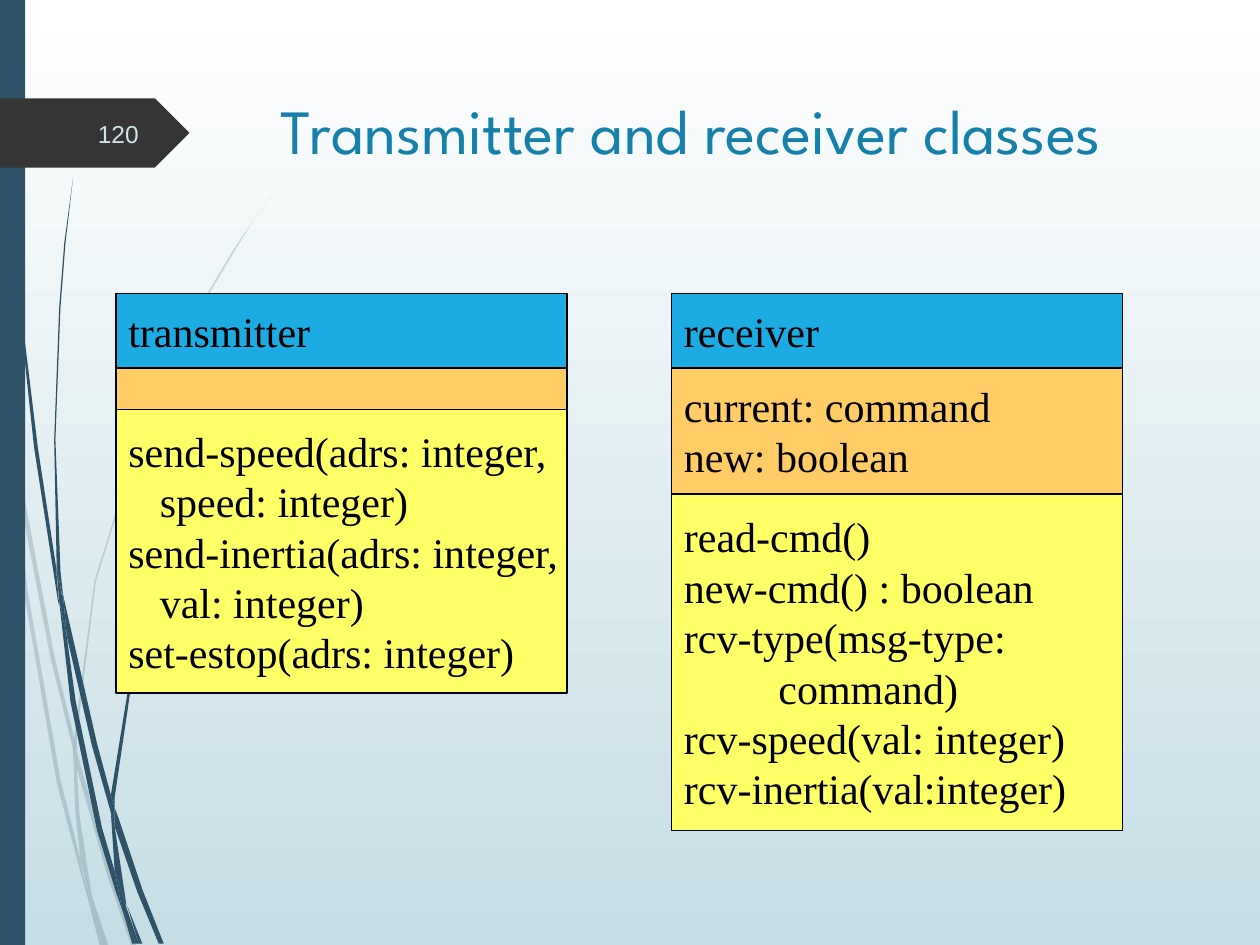
from typing import NamedTuple

from lxml.etree import SubElement
from pptx import Presentation
from pptx.dml.color import RGBColor
from pptx.enum.shapes import MSO_SHAPE
from pptx.enum.text import MSO_ANCHOR, MSO_AUTO_SIZE, PP_ALIGN
from pptx.oxml.ns import qn
from pptx.util import Pt

PX = 9144  # EMU in one px, 100 px to the inch
WIDE, HIGH = 1000, 750
INK = {
    "top": "FFFFFF", "base": "C5DEE5", "wisp": "2E5369", "tag": "353535",
    "title": "1581AA", "page": "CFE2E7", "line": "000000", "text": "000000",
    "name": "1CACE3", "attr": "FFCC66", "ops": "FFFF66",
}


class Line(NamedTuple):
    text: str
    indent: int = 0


class Row(NamedTuple):
    ink: str
    high: int
    lines: tuple = ()


class Card(NamedTuple):
    left: int
    rows: tuple


# Wisps: outline points of each piece
PALE = (
    ((8, 350), (6, 322), (0, 282), (0, 299), (7, 344)),
    ((40, 522), (59, 599), (59, 586), (43, 520), (10, 345), (12, 376)),
    ((64, 607), (61, 596), (61, 610), (85, 694), (104, 750), (108, 750), (88, 692)),
    ((83, 750), (86, 750), (73, 711)),
    ((64, 683), (48, 619), (22, 469), (12, 376), (8, 350), (19, 470), (45, 621),
     (64, 693), (70, 714), (69, 707)),
    ((58, 599), (60, 646), (64, 683), (67, 692), (73, 711), (72, 706), (63, 646),
     (61, 610), (61, 608)),
    ((61, 584), (76, 462), (111, 349), (159, 245), (187, 198), (201, 175), (217, 153),
     (201, 175), (186, 197), (158, 244), (110, 348), (75, 461), (59, 584), (59, 586),
     (61, 596)),
    ((70, 714), (79, 750), (82, 750)),
    ((61, 608), (61, 610), (61, 596), (59, 586), (58, 599)),
    ((67, 692), (65, 683), (69, 707), (70, 714), (82, 750), (83, 750), (73, 711)),
)
DARK = (
    ((5, 110), (14, 233), (27, 355), (46, 477), (47, 481), (45, 457), (45, 453),
     (30, 355), (15, 232), (6, 109), (4, 48), (3, 0), (2, 0), (3, 48)),
    ((73, 592), (88, 645), (88, 633), (88, 631), (77, 590), (50, 472), (53, 505)),
    ((94, 649), (91, 641), (91, 656), (109, 708), (126, 749), (130, 749), (113, 706)),
    ((91, 691), (81, 657), (60, 556), (53, 505), (47, 477), (56, 557), (77, 659),
     (92, 708), (97, 722), (96, 717)),
    ((50, 472), (48, 453), (44, 349), (48, 244), (52, 193), (58, 141), (51, 193),
     (47, 244), (43, 349), (45, 449), (49, 471)),
    ((110, 749), (113, 749), (101, 719)),
    ((47, 477), (53, 505), (50, 472), (49, 472), (45, 449), (45, 453)),
    ((91, 633), (103, 552), (131, 476), (169, 406), (191, 374), (203, 359), (216, 344),
     (215, 344), (203, 358), (191, 373), (168, 405), (129, 474), (101, 551), (88, 631),
     (91, 641)),
    ((97, 722), (105, 749), (108, 749)),
    ((88, 645), (91, 691), (96, 706), (100, 719), (100, 716), (91, 656), (90, 651)),
    ((88, 645), (90, 651), (91, 656), (91, 641), (88, 631), (88, 633)),
    ((96, 706), (91, 691), (96, 717), (97, 722), (108, 749), (110, 749), (100, 719)),
)
TAG = ((149, 107), (124, 132), (123, 133), (121, 133), (0, 133), (0, 78), (121, 78),
       (123, 78), (124, 79), (149, 104), (150, 105), (150, 106))

CARDS = (
    Card(92, (
        Row("name", 59, (Line("transmitter"),)),
        Row("attr", 33),
        Row("ops", 225, (
            Line("send-speed(adrs: integer,"),
            Line("speed: integer)", 25),
            Line("send-inertia(adrs: integer,"),
            Line("val: integer)", 25),
            Line("set-estop(adrs: integer)"),
        )),
    )),
    Card(533, (
        Row("name", 59, (Line("receiver"),)),
        Row("attr", 100, (Line("current: command"), Line("new: boolean"))),
        Row("ops", 267, (
            Line("read-cmd()"),
            Line("new-cmd() : boolean"),
            Line("rcv-type(msg-type:"),
            Line("command)", 75),
            Line("rcv-speed(val: integer)"),
            Line("rcv-inertia(val:integer)"),
        )),
    )),
)
CARD_TOP, CARD_WIDE = 233, 358


def hue(ink: str) -> RGBColor:
    return RGBColor.from_string(INK[ink])


def write(shape, lines: tuple, *, size: int, font: str, ink: str,
          align=PP_ALIGN.LEFT, anchor=MSO_ANCHOR.MIDDLE, right: int = 10) -> None:
    frame = shape.text_frame
    frame.auto_size = MSO_AUTO_SIZE.NONE
    frame.word_wrap = True
    frame.vertical_anchor = anchor
    frame.margin_left, frame.margin_right = 10 * PX, right * PX
    frame.margin_top = frame.margin_bottom = 5 * PX
    for i, line in enumerate(lines):
        para = frame.add_paragraph() if i else frame.paragraphs[0]
        para.alignment = align
        if line.indent:
            props = para._p.get_or_add_pPr()
            props.set("marL", str(line.indent * PX))
            props.set("indent", "0")
        run = para.add_run()
        run.text = line.text
        run.font.size, run.font.name = Pt(size), font
        run.font.color.rgb = hue(ink)


def paint(shape, ink: str, alpha: int = 100) -> None:
    shape.shadow.inherit = False
    shape.fill.solid()
    shape.fill.fore_color.rgb = hue(ink)
    shape.line.fill.background()
    if alpha < 100:
        color = shape._element.spPr.find(qn("a:solidFill"))[0]
        SubElement(color, qn("a:alpha")).set("val", str(alpha * 1000))


def outline(slide, points: tuple, ink: str, alpha: int = 100) -> None:
    pen = slide.shapes.build_freeform(*points[0], scale=PX)
    pen.add_line_segments(points[1:], close=True)
    paint(pen.convert_to_shape(), ink, alpha)


def block(slide, left: int, top: int, wide: int, high: int, ink: str):
    shape = slide.shapes.add_shape(
        MSO_SHAPE.RECTANGLE, left * PX, top * PX, wide * PX, high * PX)
    paint(shape, ink)
    return shape


def draw(slide, card: Card) -> None:
    top = CARD_TOP
    for row in card.rows:
        box = block(slide, card.left, top, CARD_WIDE, row.high, row.ink)
        box.line.color.rgb = hue("line")
        box.line.width = Pt(0.75)
        write(box, row.lines, size=24, font="Times New Roman", ink="text", right=0)
        top += row.high


def main() -> None:
    deck = Presentation()
    deck.slide_width, deck.slide_height = WIDE * PX, HIGH * PX
    slide = deck.slides.add_slide(deck.slide_layouts[5])

    # Background
    fill = slide.background.fill
    fill.gradient()
    fill.gradient_angle = 270
    for stop, ink in zip(fill.gradient_stops, ("top", "base")):
        stop.color.rgb = hue(ink)

    # Side decoration
    for points in PALE:
        outline(slide, points, "wisp", 20)
    for points in DARK:
        outline(slide, points, "wisp")
    block(slide, 0, 0, 20, HIGH, "wisp")
    outline(slide, TAG, "tag")

    # Title and page number
    title = slide.shapes.title
    title.left, title.top, title.width, title.height = (
        n * PX for n in (213, 68, 721, 140))
    write(title, (Line("Transmitter and receiver classes"),), size=36,
          font="League Spartan", ink="title", anchor=MSO_ANCHOR.TOP)
    page = slide.shapes.add_textbox(*(n * PX for n in (56, 86, 64, 40)))
    write(page, (Line("120"),), size=14, font="Arial", ink="page",
          align=PP_ALIGN.RIGHT)

    # Class cards
    for card in CARDS:
        draw(slide, card)

    deck.save("out.pptx")


if __name__ == "__main__":
    main()
